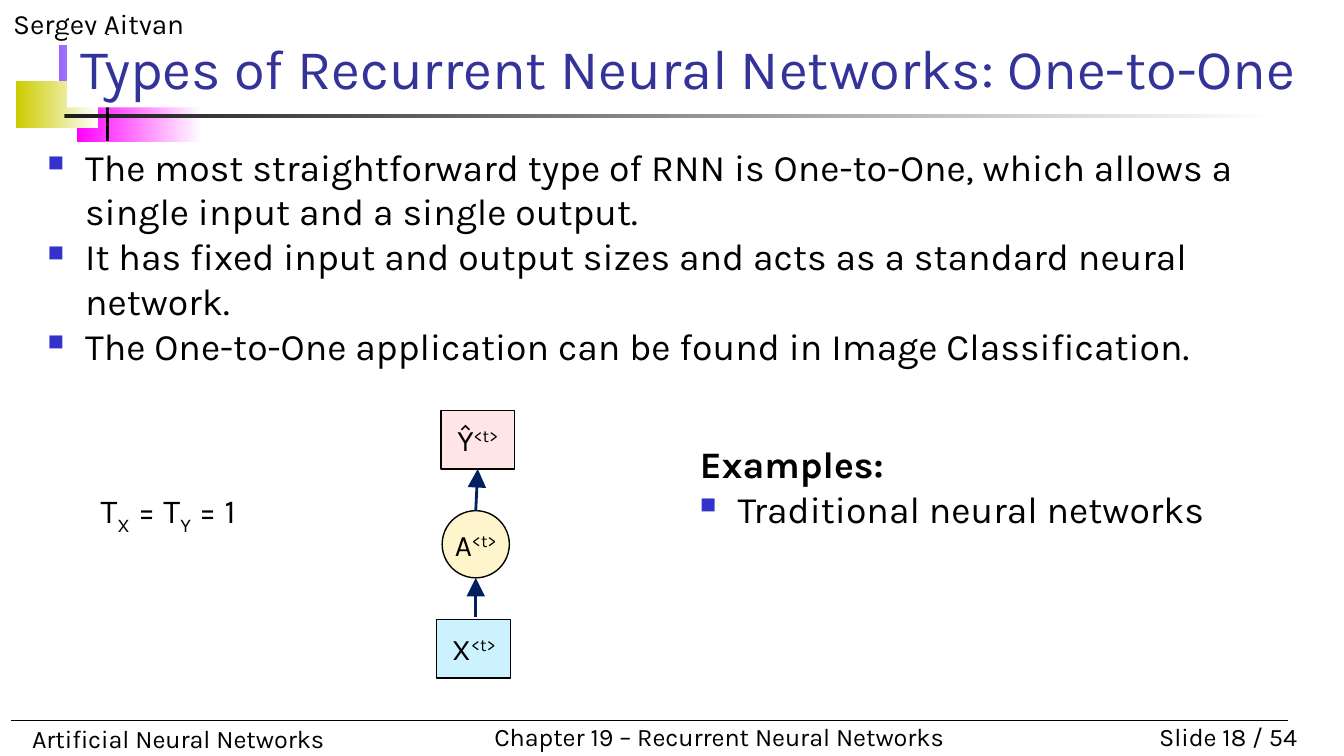
from lxml.etree import SubElement
from pptx import Presentation
from pptx.dml.color import RGBColor
from pptx.enum.shapes import MSO_CONNECTOR, MSO_SHAPE
from pptx.enum.text import MSO_ANCHOR, MSO_AUTO_SIZE, PP_ALIGN
from pptx.oxml.ns import qn
from pptx.util import Pt

PX = 4572
FONT = "Karla"
COLORS = {
    "ink": "000000", "paper": "FFFFFF", "title": "333399", "bullet": "3333CC",
    "arrow": "002060", "violet": "9966FF", "magenta": "FF00FF", "olive": "CCCC00",
    "rule": "1C1C1C", "hidden": "FFF5CC", "output": "FFE5E5", "input": "CDF2FF",
}


def color(name):
    return RGBColor.from_string(COLORS[name])


def px(*lengths):
    return [length * PX for length in lengths]


class SlideBuilder:
    def __init__(self, page):
        self.page = page

    def style(self, para, size, ink="ink", bold=False, align=None):
        para.alignment = align
        para.font.name = FONT
        para.font.size = Pt(size)
        para.font.bold = bold
        para.font.color.rgb = color(ink)

    def spans(self, para, parts):
        for text, baseline in parts:
            span = para.add_run()
            span.text = text
            if baseline:
                span._r.get_or_add_rPr().set("baseline", str(baseline * 1000))

    def bullet(self, para):
        props = para._p.get_or_add_pPr()
        props.set("marL", str(56 * PX))
        props.set("indent", str(-56 * PX))
        tint = SubElement(props, qn("a:buClr"))
        SubElement(tint, qn("a:srgbClr"), val=COLORS["bullet"])
        SubElement(props, qn("a:buSzPct"), val="60000")
        SubElement(props, qn("a:buChar"), char="■")

    def shape(self, kind, place, line=None):
        shape = self.page.shapes.add_shape(kind, *px(*place))
        shape.shadow.inherit = False
        if line:
            shape.line.color.rgb = color(line)
            shape.line.width = Pt(0.75)
        else:
            shape.line.fill.background()
        return shape

    def fade(self, place, start):
        shape = self.shape(MSO_SHAPE.RECTANGLE, place)
        shape.fill.gradient()
        shape.fill.gradient_angle = 0
        for stop, name in zip(shape.fill.gradient_stops, (start, "paper")):
            stop.color.rgb = color(name)

    def text(self, place, parts, size, align=None, wrap=True):
        box = self.page.shapes.add_textbox(*px(*place))
        frame = box.text_frame
        frame.word_wrap = wrap
        frame.auto_size = MSO_AUTO_SIZE.SHAPE_TO_FIT_TEXT
        para = frame.paragraphs[0]
        self.spans(para, parts)
        self.style(para, size, align=align)

    def title(self, place, text):
        box = self.page.shapes.add_textbox(*px(*place))
        box.fill.solid()
        box.fill.fore_color.rgb = color("paper")
        frame = box.text_frame
        frame.word_wrap = True
        frame.vertical_anchor = MSO_ANCHOR.BOTTOM
        frame.text = text
        self.style(frame.paragraphs[0], 30, "title")

    def bullets(self, place, items, heading=None):
        frame = self.page.shapes.add_textbox(*px(*place)).text_frame
        frame.word_wrap = True
        lines = [heading, *items] if heading else items
        frame.text = "\n".join(lines)
        for para, text in zip(frame.paragraphs, lines):
            if text != heading:
                self.bullet(para)
            self.style(para, 20, bold=text == heading)

    def node(self, kind, place, fill, label):
        shape = self.shape(kind, place, "ink")
        shape.fill.solid()
        shape.fill.fore_color.rgb = color(fill)
        frame = shape.text_frame
        frame.margin_left = frame.margin_right = 0
        frame.margin_top = frame.margin_bottom = 0
        frame.word_wrap = False
        frame.vertical_anchor = MSO_ANCHOR.MIDDLE
        para = frame.paragraphs[0]
        self.spans(para, [(label, 0), ("<t>", 30)])
        self.style(para, 16, align=PP_ALIGN.CENTER)
        return shape

    def line(self, ends, ink="ink", width=0.75, arrow=False):
        line = self.page.shapes.add_connector(MSO_CONNECTOR.STRAIGHT, *px(*ends))
        line.line.color.rgb = color(ink)
        line.line.width = Pt(width)
        if arrow:
            SubElement(line.line._get_or_add_ln(), qn("a:tailEnd"),
                       type="triangle", w="lg", len="lg")
        SubElement(line._element.spPr, qn("a:effectLst"))
        return line


def main():
    deck = Presentation()
    deck.slide_width, deck.slide_height = px(2000, 1125)
    slide = SlideBuilder(deck.slides.add_slide(deck.slide_layouts[6]))

    slide.fade((88, 67, 146, 78), "violet")
    slide.fade((114, 134, 186, 78), "magenta")
    slide.fade((24, 121, 122, 70), "olive")
    slide.fade((96, 170, 1800, 5), "rule")
    slide.text((0, 0, 500, 70), [("Sergey Aityan", 0)], 15)
    slide.text((1650, 1064, 300, 66), [("Slide 18 / 54", 0)], 13.5, PP_ALIGN.RIGHT)
    slide.text((28, 1067, 740, 66), [("Artificial Neural Networks", 0)], 13.5)
    slide.text((716, 1064, 720, 66), [("Chapter 19 – Recurrent Neural Networks", 0)],
               13.5, wrap=False)
    slide.line((16, 1072, 1916, 1072))
    slide.line((160, 50, 160, 210), width=2)

    slide.title((100, 52, 1882, 108), "Types of Recurrent Neural Networks: One-to-One")
    slide.bullets((51, 204, 1882, 170), [
        "The most straightforward type of RNN is One-to-One, which allows a "
        "single input and a single output.",
        "It has fixed input and output sizes and acts as a standard neural network.",
        "The One-to-One application can be found in Image Classification.",
    ])
    slide.bullets((1022, 647, 862, 170), ["Traditional neural networks"], "Examples:")

    slide.node(MSO_SHAPE.OVAL, (658, 760, 100, 100), "hidden", "A")
    output = slide.node(MSO_SHAPE.RECTANGLE, (656, 611, 110, 87), "output", "Ŷ")
    slide.node(MSO_SHAPE.RECTANGLE, (650, 922, 110, 87), "input", "X")
    to_output = slide.line((708, 760, 711, 698), "arrow", 1.5, arrow=True)
    to_output.end_connect(output, 2)
    slide.line((708, 918, 708, 860), "arrow", 1.5, arrow=True)

    slide.text((130, 720, 362, 80),
               [("T", 0), ("X", -25), (" = T", 0), ("Y", -25), (" = 1", 0)], 18)
    deck.save("out.pptx")


if __name__ == "__main__":
    main()
